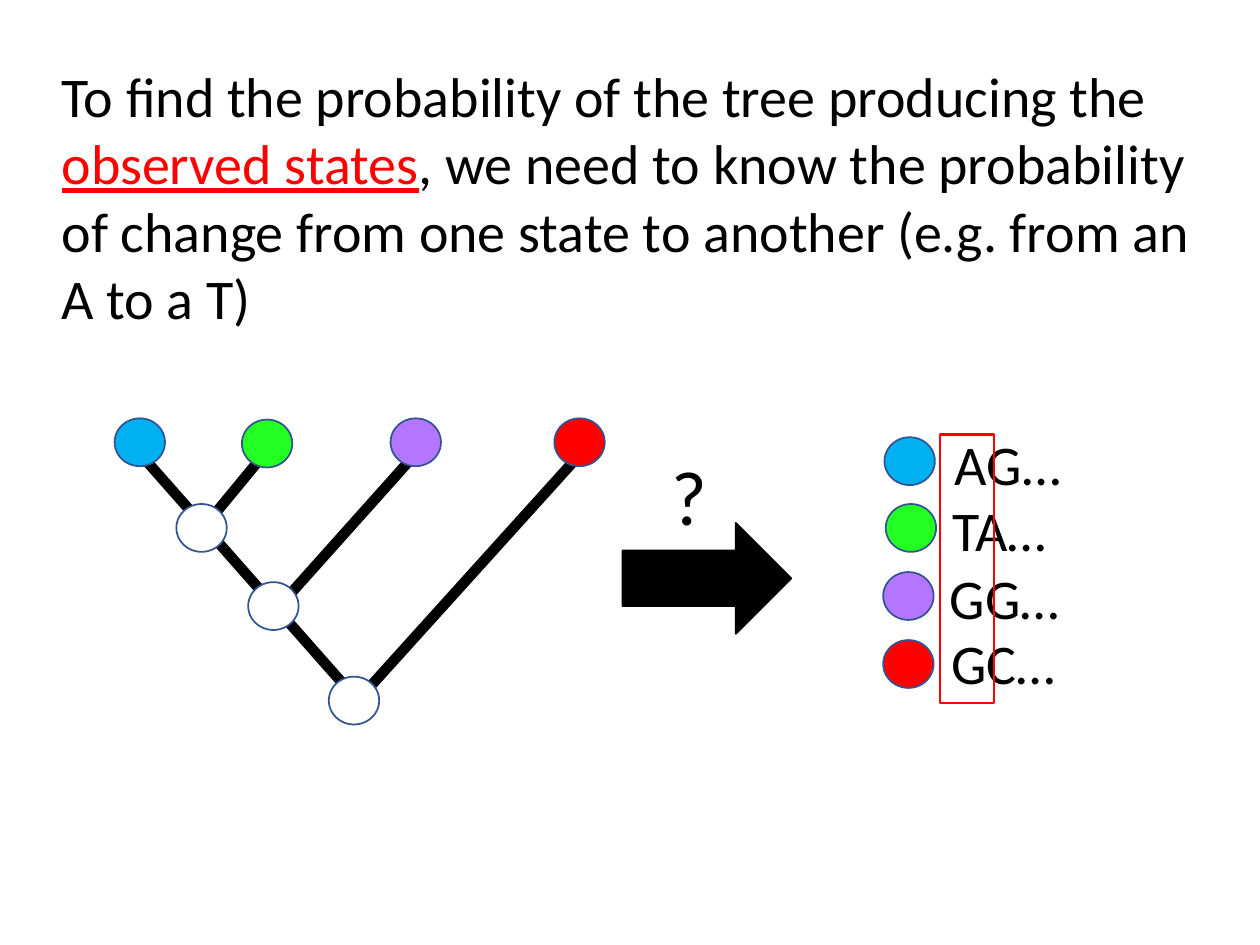
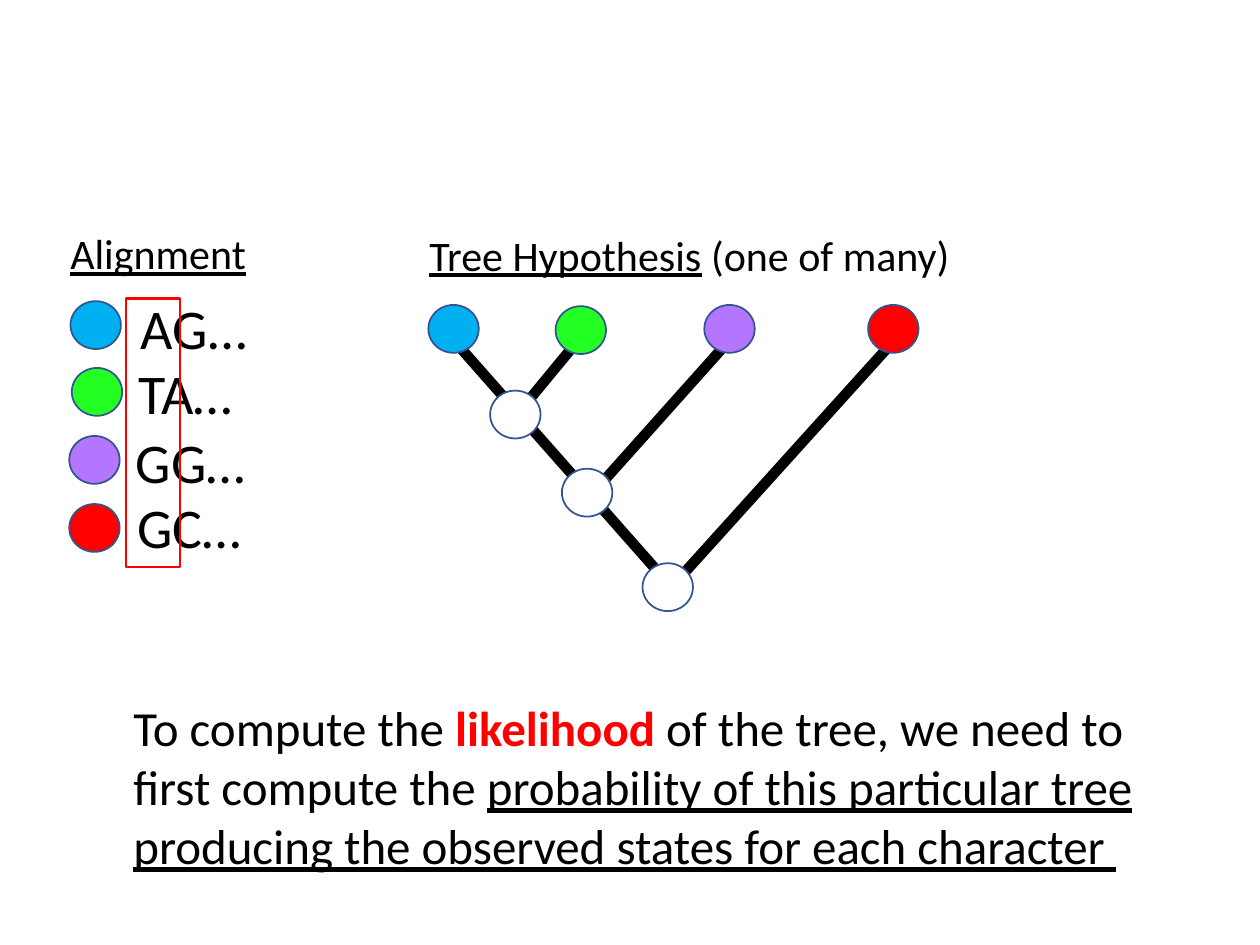
from pptx import Presentation
from pptx.dml.color import RGBColor
from pptx.enum.shapes import MSO_CONNECTOR, MSO_SHAPE
from pptx.enum.text import MSO_AUTO_SIZE
from pptx.util import Inches, Pt
from lxml import etree

BLACK = RGBColor(0x00, 0x00, 0x00)
WHITE = RGBColor(0xFF, 0xFF, 0xFF)
RED = RGBColor(0xFF, 0x00, 0x00)
BLUE = RGBColor(0x00, 0xB0, 0xF0)
GREEN = RGBColor(0x23, 0xFF, 0x23)
PURPLE = RGBColor(0xB5, 0x76, 0xFF)
OUTLINE = RGBColor(0x32, 0x54, 0x91)
FONT = "Calibri"
DRAWING_NS = "http://schemas.openxmlformats.org/drawingml/2006/main"

# Offsets in inches from the top left corner of the tree
BRANCHES = [
    (1.93, 2.24, 0.20, 0.28),
    (0.72, 0.85, 1.19, 0.28),
    (1.29, 1.51, 2.39, 0.28),
    (1.91, 2.26, 3.78, 0.19),
]
NODES = [
    (1.70, 2.05, WHITE),
    (0.00, 0.00, BLUE),
    (1.01, 0.01, GREEN),
    (2.19, 0.00, PURPLE),
    (3.49, 0.00, RED),
    (1.06, 1.30, WHITE),
    (0.49, 0.68, WHITE),
]
# Offsets from the top left corner of the alignment: circle, then sequence
TAXA = [
    (BLUE, 0.01, 0.00, "AG…", 0.47, -0.11, 1.05),
    (GREEN, 0.02, 0.53, "TA…", 0.45, 0.41, 0.96),
    (PURPLE, 0.00, 1.07, "GG…", 0.43, 0.95, 1.08),
    (RED, 0.00, 1.61, "GC…", 0.44, 1.47, 1.04),
]


def add_text(slide, left, top, width, height, size, runs, wrap=False):
    """Add a text box; each run is (text, colour, bold, underline)."""
    box = slide.shapes.add_textbox(Inches(left), Inches(top), Inches(width), Inches(height))
    box.text_frame.word_wrap = wrap
    box.text_frame.auto_size = MSO_AUTO_SIZE.SHAPE_TO_FIT_TEXT
    paragraph = box.text_frame.paragraphs[0]
    for text, colour, bold, underline in runs:
        run = paragraph.add_run()
        run.text = text
        run.font.name = FONT
        run.font.size = Pt(size)
        run.font.bold = bold
        run.font.underline = underline
        run.font.color.rgb = colour


def add_figure(slide, kind, left, top, width, height, fill, line, line_width=1):
    """Add a preset shape; a fill of None leaves it hollow."""
    shape = slide.shapes.add_shape(kind, Inches(left), Inches(top), Inches(width), Inches(height))
    shape.shadow.inherit = False
    if fill is None:
        shape.fill.background()
    else:
        shape.fill.solid()
        shape.fill.fore_color.rgb = fill
    shape.line.color.rgb = line
    shape.line.width = Pt(line_width)


presentation = Presentation()
presentation.slide_width = Inches(10)
presentation.slide_height = Inches(7.5)
blank_layout = presentation.slide_layouts[6]
question_slide = presentation.slides.add_slide(blank_layout)
likelihood_slide = presentation.slides.add_slide(blank_layout)

# Both slides: the tree and the alignment, at different places
for slide, tree_left, tree_top, alignment_left, alignment_top in [
    (question_slide, 0.91, 3.32, 7.01, 3.47),
    (likelihood_slide, 3.40, 2.42, 0.55, 2.39),
]:
    for start_x, start_y, end_x, end_y in BRANCHES:
        branch = slide.shapes.add_connector(
            MSO_CONNECTOR.STRAIGHT,
            Inches(tree_left + start_x), Inches(tree_top + start_y),
            Inches(tree_left + end_x), Inches(tree_top + end_y))
        branch.line.color.rgb = BLACK
        branch.line.width = Pt(6)
        etree.SubElement(branch._element.spPr, f"{{{DRAWING_NS}}}effectLst")

    for x, y, colour in NODES:
        add_figure(slide, MSO_SHAPE.OVAL, tree_left + x, tree_top + y, 0.4, 0.38, colour, OUTLINE)

    for colour, x, y, sequence, text_x, text_y, text_width in TAXA:
        add_figure(slide, MSO_SHAPE.OVAL, alignment_left + x, alignment_top + y,
                   0.4, 0.38, colour, OUTLINE)
        add_text(slide, alignment_left + text_x, alignment_top + text_y, text_width, 0.64, 32,
                 [(sequence, BLACK, False, False)])
    add_figure(slide, MSO_SHAPE.RECTANGLE, alignment_left + 0.45, alignment_top - 0.02,
               0.43, 2.13, None, RED, 1.5)

# Slide 1: from the tree to the observed states
add_text(question_slide, 0.39, 0.44, 9.27, 2.26, 32, [
    ("To find the probability of the tree producing the ", BLACK, False, False),
    ("observed states", RED, False, True),
    (", we need to know the probability of change from one state to another "
     "(e.g. from an A to a T)", BLACK, False, False),
], wrap=True)
add_figure(question_slide, MSO_SHAPE.RIGHT_ARROW, 4.94, 4.15, 1.34, 0.88, BLACK, BLACK)
add_text(question_slide, 5.23, 3.51, 0.49, 0.84, 44, [("?", BLACK, False, False)])

# Slide 2: likelihood of one tree
add_text(likelihood_slide, 0.46, 1.76, 1.61, 0.5, 24, [("Alignment", BLACK, False, True)])
add_text(likelihood_slide, 3.31, 1.77, 4.37, 0.5, 24, [
    ("Tree Hypothesis", BLACK, False, True),
    (" (one of many)", BLACK, False, False),
])
add_text(likelihood_slide, 0.96, 5.49, 8.39, 1.51, 28, [
    ("To compute the ", BLACK, False, False),
    ("likelihood", RED, True, False),
    (" of the tree, we need to first compute the ", BLACK, False, False),
    ("probability of this particular tree producing the observed states for each character ",
     BLACK, False, True),
], wrap=True)

presentation.save("out.pptx")
